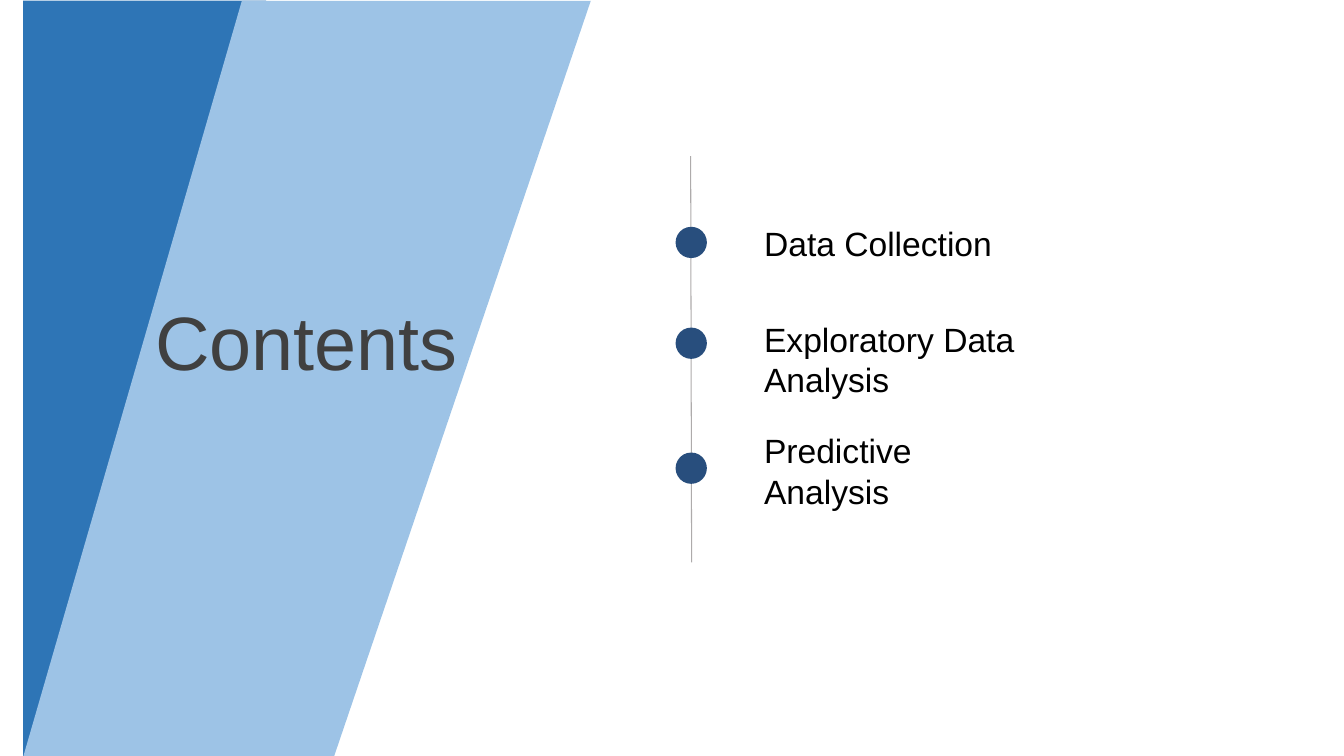
from dataclasses import dataclass

from lxml import etree
from pptx import Presentation
from pptx import util as u
from pptx.dml.color import RGBColor
from pptx.enum import shapes, text
from pptx.oxml import ns


@dataclass(frozen=True)
class Theme:
    font: str = "Arial"
    title_size: int = 54
    label_size: int = 24
    line_width: float = 0.75
    dark_panel: str = "2E75B6"
    light_panel: str = "9DC3E6"
    dot: str = "284E7D"
    line: str = "AEABAB"
    title: str = "404040"
    label: str = "000000"


class SlideBuilder:
    """Draws on one slide; lengths are percentages of its width and height."""

    def __init__(self, presentation, theme):
        self.theme = theme
        self.width = presentation.slide_width
        self.height = presentation.slide_height
        self.slide = presentation.slides.add_slide(presentation.slide_layouts[5])

    def x(self, share):
        return u.Emu(round(self.width * share / 100))

    def y(self, share):
        return u.Emu(round(self.height * share / 100))

    def box(self, left, top, width, height):
        return self.x(left), self.y(top), self.x(width), self.y(height)

    def paint(self, shape, color):
        shape.shadow.inherit = False
        shape.fill.solid()
        shape.fill.fore_color.rgb = RGBColor.from_string(color)
        shape.line.fill.background()

    def set_text(self, shape, wording, size, color):
        frame = shape.text_frame
        frame.text = wording
        frame.word_wrap = True
        frame.auto_size = text.MSO_AUTO_SIZE.NONE
        frame.vertical_anchor = text.MSO_ANCHOR.TOP
        paragraph = frame.paragraphs[0]
        paragraph.alignment = text.PP_ALIGN.LEFT
        paragraph.font.name = self.theme.font
        paragraph.font.size = u.Pt(size)
        paragraph.font.color.rgb = RGBColor.from_string(color)

    def rectangle(self, left, top, width, height, color):
        shape = self.slide.shapes.add_shape(
            shapes.MSO_SHAPE.RECTANGLE, *self.box(left, top, width, height))
        self.paint(shape, color)

    def polygon(self, corners, color):
        points = [(self.x(x), self.y(y)) for x, y in corners]
        builder = self.slide.shapes.build_freeform(*points[0])
        builder.add_line_segments(points[1:], close=True)
        self.paint(builder.convert_to_shape(), color)

    def title(self, wording, left, top, width, height):
        """Fill the title placeholder and bring it in front of the panels."""
        shape = self.slide.shapes.title
        shape.left, shape.top, shape.width, shape.height = self.box(left, top, width, height)
        self.set_text(shape, wording, self.theme.title_size, self.theme.title)
        shape.element.getparent().append(shape.element)

    def line(self, x1, y1, x2, y2):
        connector = self.slide.shapes.add_connector(
            shapes.MSO_CONNECTOR.STRAIGHT,
            self.x(x1), self.y(y1), self.x(x2), self.y(y2))
        connector.line.color.rgb = RGBColor.from_string(self.theme.line)
        connector.line.width = u.Pt(self.theme.line_width)
        etree.SubElement(connector.element.spPr, ns.qn("a:effectLst"))

    def dot(self, center_x, center_y, diameter):
        size = self.x(diameter)
        shape = self.slide.shapes.add_shape(
            shapes.MSO_SHAPE.OVAL,
            self.x(center_x) - size // 2, self.y(center_y) - size // 2, size, size)
        self.paint(shape, self.theme.dot)

    def label(self, wording, left, top, width, height):
        shape = self.slide.shapes.add_textbox(*self.box(left, top, width, height))
        self.set_text(shape, wording, self.theme.label_size, self.theme.label)


def main():
    presentation = Presentation()
    presentation.slide_width = u.Inches(13.33)
    presentation.slide_height = u.Inches(7.5)
    theme = Theme()
    contents = SlideBuilder(presentation, theme)

    panel_left = 1.73
    contents.rectangle(panel_left, 0.1, 18.08, 100, theme.dark_panel)
    contents.polygon([(18, 0.1), (43.96, 0.1), (24.83, 100.2), (panel_left, 100.1)],
                     theme.light_panel)
    contents.title("Contents", 10.8, 38.4, 29.78, 13.47)

    contents.line(51.39, 20.67, 51.46, 74.4)
    # Wording, dot centre, label top, label width, label height
    sections = [
        ("Data Collection", 32.07, 28.8, 19, 9.87),
        ("Exploratory Data Analysis", 45.4, 41.47, 24.61, 12.13),
        ("Predictive Analysis", 61.93, 56.27, 21.75, 12.13),
    ]
    for wording, dot_center, top, width, height in sections:
        contents.dot(51.43, dot_center, 2.33)
        contents.label(wording, 56.11, top, width, height)

    presentation.save("out.pptx")


if __name__ == "__main__":
    main()
